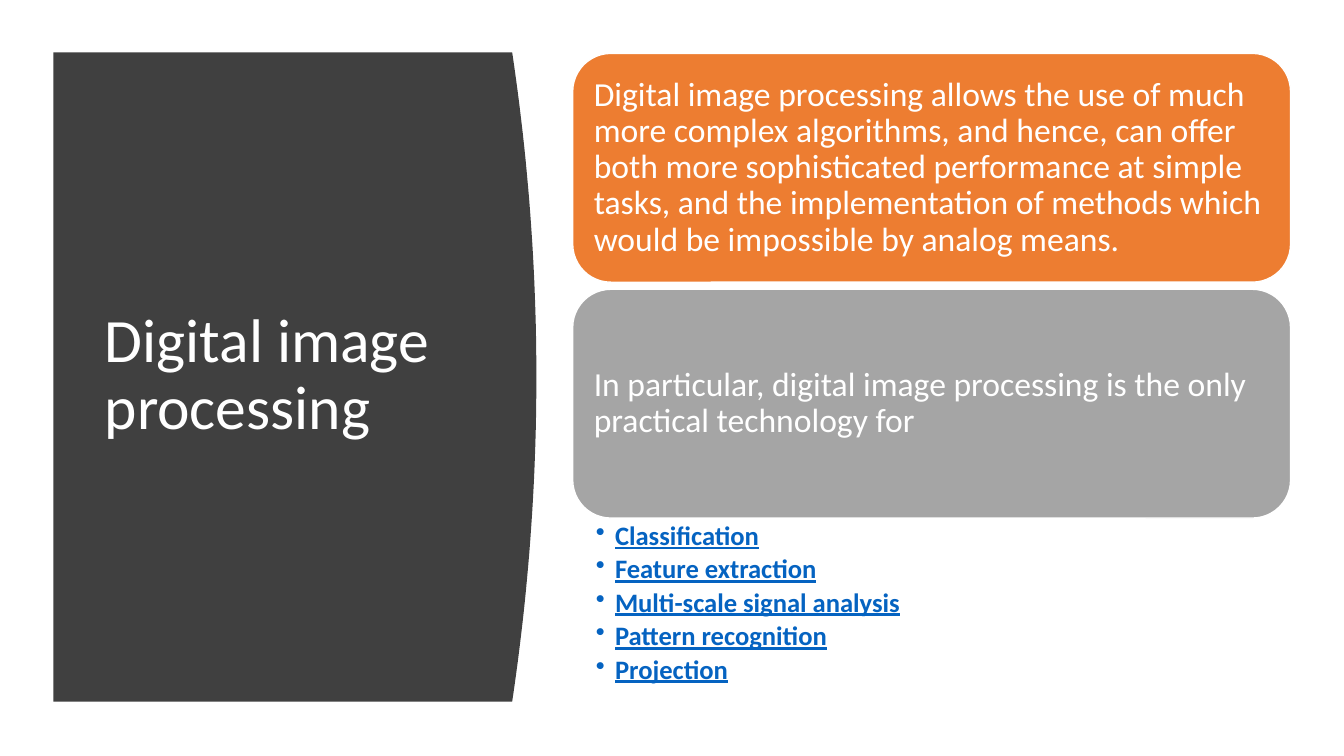
import pptx
import pptx.util
import pptx.dml.color
import pptx.enum.shapes
import pptx.enum.text
import lxml.etree

Inches = pptx.util.Inches
Pt = pptx.util.Pt

TITLE = "Digital image processing"
CARDS = [
    ("Digital image processing allows the use of much more complex algorithms, "
     "and hence, can offer both more sophisticated performance at simple tasks, "
     "and the implementation of methods which would be impossible by analog means.",
     "ED7D31"),
    ("In particular, digital image processing is the only practical technology for",
     "A5A5A5"),
]
TECHNIQUES = ["Classification", "Feature extraction", "Multi-scale signal analysis",
              "Pattern recognition", "Projection"]

PANEL_LEFT, PANEL_TOP, PANEL_BOTTOM = 0.53, 0.52, 6.96
PANEL_EDGE, PANEL_BULGE, CURVE_STEPS = 5.08, 0.24, 48
CARD_LEFT, CARD_TOP, CARD_WIDTH, CARD_HEIGHT, CARD_PITCH = 5.68, 0.53, 7.12, 2.27, 2.34


def color(hex_string):
    return pptx.dml.color.RGBColor.from_string(hex_string)


def paint(shape, fill):
    shape.shadow.inherit = False
    shape.fill.solid()
    shape.fill.fore_color.rgb = color(fill)


def write(shape, lines, size, ink, insets, anchor, bold=None, underline=None):
    frame = shape.text_frame
    frame.word_wrap = True
    frame.vertical_anchor = anchor
    (frame.margin_left, frame.margin_top,
     frame.margin_right, frame.margin_bottom) = map(Inches, insets)
    frame.text = "\n".join(lines)
    for paragraph in frame.paragraphs:
        paragraph.alignment = pptx.enum.text.PP_ALIGN.LEFT
        paragraph.line_spacing = 0.9
        font = paragraph.runs[0].font
        font.name = "Calibri"
        font.size = Pt(size)
        font.color.rgb = color(ink)
        font.bold = bold
        font.underline = underline


def add_bullet(paragraph):
    properties = paragraph._p.get_or_add_pPr()
    properties.set("marL", str(Inches(0.19)))
    properties.set("indent", str(-Inches(0.19)))
    bullet = lxml.etree.SubElement(properties, pptx.oxml.ns.qn("a:buChar"))
    bullet.set("char", "•")


deck = pptx.Presentation()
deck.slide_width = Inches(13.33)
deck.slide_height = Inches(7.5)
slide = deck.slides.add_slide(deck.slide_layouts[6])
shapes = slide.shapes
MIDDLE = pptx.enum.text.MSO_ANCHOR.MIDDLE
TOP = pptx.enum.text.MSO_ANCHOR.TOP

curve = []
for step in range(CURVE_STEPS + 1):
    share = step / CURVE_STEPS
    x = PANEL_EDGE + PANEL_BULGE * 4 * share * (1 - share)
    y = PANEL_TOP + (PANEL_BOTTOM - PANEL_TOP) * share
    curve.append((Inches(x), Inches(y)))
outline = shapes.build_freeform(Inches(PANEL_LEFT), Inches(PANEL_TOP))
outline.add_line_segments(curve + [(Inches(PANEL_LEFT), Inches(PANEL_BOTTOM))])
panel = outline.convert_to_shape()
paint(panel, "404040")
panel.line.fill.background()

title = shapes.add_textbox(Inches(0.94), Inches(1.11), Inches(3.74), Inches(5.24))
write(title, [TITLE], 44, "FFFFFF", (0.1, 0.05, 0.1, 0.05), MIDDLE)

for index, (statement, fill) in enumerate(CARDS):
    card = shapes.add_shape(
        pptx.enum.shapes.MSO_SHAPE.ROUNDED_RECTANGLE,
        Inches(CARD_LEFT), Inches(CARD_TOP + index * CARD_PITCH),
        Inches(CARD_WIDTH), Inches(CARD_HEIGHT))
    paint(card, fill)
    card.line.color.rgb = color("FFFFFF")
    card.line.width = Pt(1)
    write(card, [statement], 24, "FFFFFF", (0.1, 0.1, 0.1, 0.1), MIDDLE)

techniques = shapes.add_textbox(
    Inches(CARD_LEFT), Inches(5.15), Inches(CARD_WIDTH), Inches(1.79))
write(techniques, TECHNIQUES, 19, "0563C1", (0.23, 0.03, 0.19, 0.03), TOP,
      bold=True, underline=True)
for paragraph in techniques.text_frame.paragraphs:
    paragraph.space_after = Pt(3.4)
    add_bullet(paragraph)

deck.save("out.pptx")
